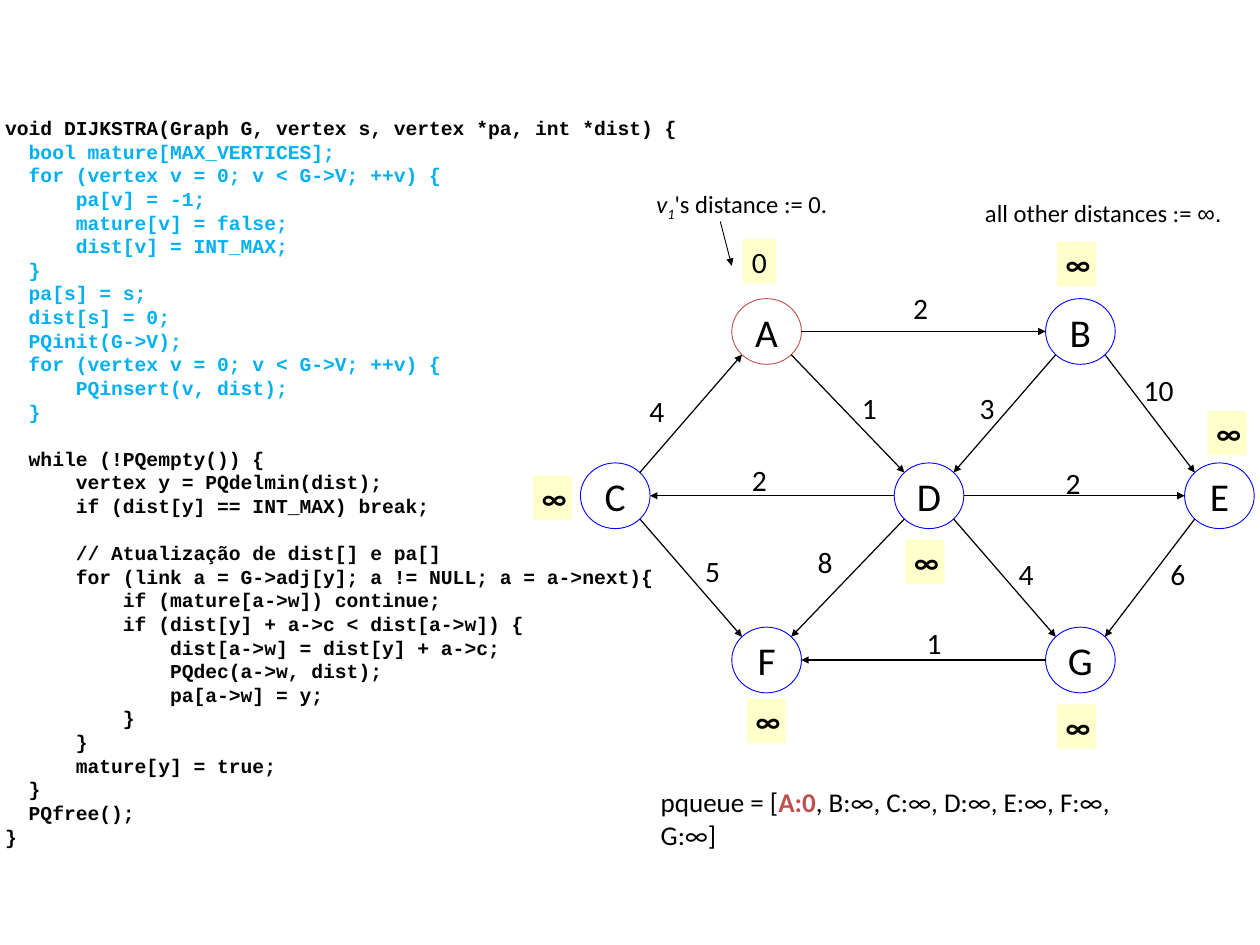
from math import sqrt

from lxml import etree
from pptx import Presentation
from pptx.dml.color import RGBColor
from pptx.enum import shapes, text
from pptx.oxml import ns
from pptx.util import Pt

COLORS = {"black": "000000", "cyan": "00B0F0", "red": "C0504D",
          "blue": "0000FF", "white": "FFFFFF", "yellow": "FFFFCC"}

SIGNATURE = "void DIJKSTRA(Graph G, vertex s, vertex *pa, int *dist) {"
SETUP = """\
  bool mature[MAX_VERTICES];
  for (vertex v = 0; v < G->V; ++v) {
      pa[v] = -1;
      mature[v] = false;
      dist[v] = INT_MAX;
  }
  pa[s] = s;
  dist[s] = 0;
  PQinit(G->V);
  for (vertex v = 0; v < G->V; ++v) {
      PQinsert(v, dist);
  }"""
LOOP = """\
  while (!PQempty()) {
      vertex y = PQdelmin(dist);
      if (dist[y] == INT_MAX) break;"""
UPDATE = """\
      // Atualização de dist[] e pa[]
      for (link a = G->adj[y]; a != NULL; a = a->next){
          if (mature[a->w]) continue;
          if (dist[y] + a->c < dist[a->w]) {
              dist[a->w] = dist[y] + a->c;
              PQdec(a->w, dist);
              pa[a->w] = y;
          }
      }
      mature[y] = true;
  }
  PQfree();
}"""
CODE = [(SIGNATURE, "black", False), (SETUP, "cyan", False),
        (LOOP, "black", True), (UPDATE, "black", True)]
CODE_LINE = 19.2

NODE_W, NODE_H = 56.6, 53.4
NODES = {"A": (623, 269.4), "B": (878, 269.4), "C": (500, 402.9),
         "D": (755, 402.9), "E": (991, 402.9), "F": (623, 536.4),
         "G": (878, 536.4)}
EDGES = [("G", "F", "1", 746, 504.7), ("D", "C", "2", 604, 372.2),
         ("A", "B", "2", 735, 231.8), ("D", "E", "2", 859, 374.4),
         ("B", "E", "10", 922.3, 298.8), ("E", "G", "6", 944, 448.6),
         ("A", "D", "1", 693.4, 313.2), ("B", "D", "3", 789, 313.2),
         ("C", "A", "4", 520.6, 315.4), ("C", "F", "5", 566, 445.7),
         ("D", "G", "4", 820.8, 448.6), ("D", "F", "8", 657.4, 438.5)]
DISTANCES = [("0", 604, 194.4), ("∞", 859, 196.6), ("∞", 433.4, 386.6),
             ("∞", 735.8, 438.5), ("∞", 981.4, 334.1), ("∞", 607, 568.1),
             ("∞", 859, 572.4)]
NOTES = [
    (526.3, 149.8, 284.4, 31.7, 20,
     [("v", {"italic": True}), ("1", {"italic": True, "sub": True}),
      ("'s distance := 0.", {})]),
    (793.4, 157.7, 216.7, 31.7, 20,
     [("all other distances := ", {}), ("∞.", {"name": "Arial"})]),
    (529.9, 635, 415.4, 33.8, 22,
     [("pqueue = [", {}), ("A:0", {"color": "red", "bold": True}),
      (", B:∞, C:∞, D:∞, E:∞, F:∞, G:∞]", {})]),
]


def rgb(name):
    return RGBColor.from_string(COLORS[name])


def add_run(p, words, **changes):
    fmt = {"name": "Calibri", "size": 24, "bold": False, "italic": False,
           "color": "black", "sub": False, **changes}
    r = p.add_run()
    r.text = words
    r.font.color.rgb = rgb(fmt.pop("color"))
    if fmt.pop("sub"):
        r._r.get_or_add_rPr().set("baseline", "-25000")
    fmt["size"] = Pt(fmt["size"])
    for key, value in fmt.items():
        setattr(r.font, key, value)


def set_frame(sp, wrap, anchor):
    tf = sp.text_frame
    tf.word_wrap = wrap
    tf.vertical_anchor = anchor
    return tf


def add_text(s, x, y, w, h, wrap=True, anchor=text.MSO_ANCHOR.TOP):
    sp = s.shapes.add_textbox(Pt(x), Pt(y), Pt(w), Pt(h))
    return set_frame(sp, wrap, anchor)


def add_shape(s, kind, x, y, w, h, fill, line, anchor):
    sp = s.shapes.add_shape(kind, Pt(x), Pt(y), Pt(w), Pt(h))
    sp.shadow.inherit = False
    sp.fill.solid()
    sp.fill.fore_color.rgb = rgb(fill)
    if line:
        sp.line.color.rgb = rgb(line)
        sp.line.width = Pt(0.75)
    else:
        sp.line.fill.background()
    return set_frame(sp, False, anchor)


def add_arrow(s, start, end, width):
    c = s.shapes.add_connector(shapes.MSO_CONNECTOR.STRAIGHT,
                               *(Pt(v) for v in (*start, *end)))
    c.line.color.rgb = rgb("black")
    c.line.width = Pt(width)
    ln = c.line._get_or_add_ln()
    etree.SubElement(ln, ns.qn("a:tailEnd"), type="triangle")
    etree.SubElement(c._element.spPr, ns.qn("a:effectLst"))


def sign(v):
    return (v > 0) - (v < 0)


def node_edge(node, other):
    (x, y), (ox, oy) = NODES[node], NODES[other]
    reach = sqrt(0.5) if oy != y else 1
    return (x + sign(ox - x) * reach * NODE_W / 2,
            y + sign(oy - y) * reach * NODE_H / 2)


def add_code(s):
    tf = add_text(s, -2.9, 90.7, 627, 608.4)
    p = tf.paragraphs[0]
    for block, color, gap in CODE:
        for i, line in enumerate(block.split("\n")):
            if line != SIGNATURE:
                p = tf.add_paragraph()
            p.line_spacing = Pt(CODE_LINE)
            if gap and i == 0:
                p.space_before = Pt(CODE_LINE)
            add_run(p, line, name="Courier New", size=16, bold=True, color=color)


def add_graph(s):
    middle = text.MSO_ANCHOR.MIDDLE
    for name, (x, y) in NODES.items():
        tf = add_shape(s, shapes.MSO_SHAPE.OVAL, x - NODE_W / 2, y - NODE_H / 2,
                       NODE_W, NODE_H, "white", "red" if name == "A" else "blue",
                       middle)
        p = tf.paragraphs[0]
        p.alignment = text.PP_ALIGN.CENTER
        add_run(p, name, size=32)
    for a, b, weight, x, y in EDGES:
        add_arrow(s, node_edge(a, b), node_edge(b, a), 1)
        tf = add_text(s, x, y, 14.4 + 12.2 * len(weight), 36, False, middle)
        add_run(tf.paragraphs[0], weight)
    for value, x, y in DISTANCES:
        tf = add_shape(s, shapes.MSO_SHAPE.RECTANGLE, x, y,
                       26.6 if value == "0" else 31.7, 36, "yellow", None,
                       text.MSO_ANCHOR.TOP)
        p = tf.paragraphs[0]
        p.alignment = text.PP_ALIGN.LEFT
        add_run(p, value, bold=value == "∞")


def add_notes(s):
    for x, y, w, h, size, runs in NOTES:
        p = add_text(s, x, y, w, h).paragraphs[0]
        for words, changes in runs:
            add_run(p, words, size=size, **changes)
    add_arrow(s, (585.4, 180), (594.7, 216), 0.75)


def main():
    """Build the Dijkstra slide with its code and its weighted graph."""
    prs = Presentation()
    prs.slide_width, prs.slide_height = Pt(1024), Pt(768)
    s = prs.slides.add_slide(prs.slide_layouts[6])
    add_code(s)
    add_graph(s)
    add_notes(s)
    prs.save("out.pptx")


if __name__ == "__main__":
    main()
